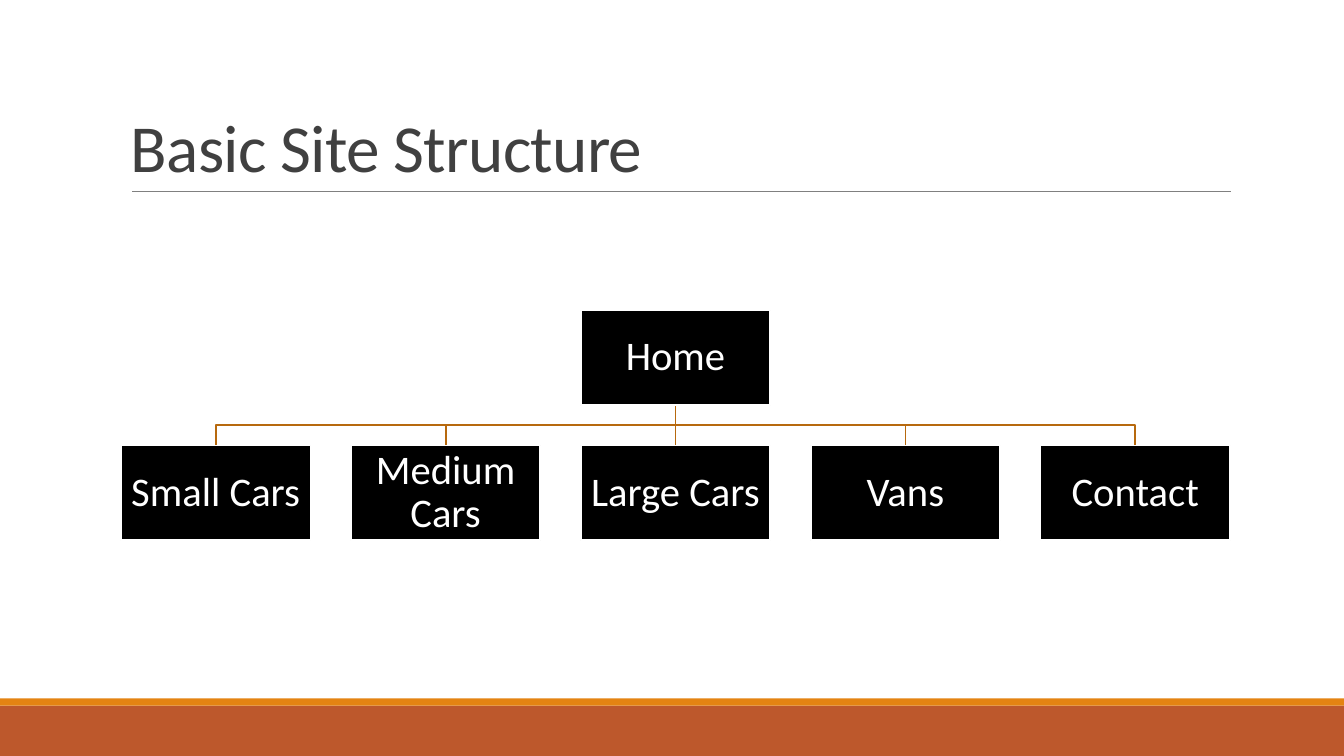
from pptx import Presentation
from pptx.dml.color import RGBColor
from pptx.enum.shapes import MSO_CONNECTOR, MSO_SHAPE
from pptx.enum.text import MSO_ANCHOR, PP_ALIGN
from pptx.oxml.ns import qn
from pptx.util import Inches, Pt
from lxml import etree

RECT = MSO_SHAPE.RECTANGLE
STRAIGHT = MSO_CONNECTOR.STRAIGHT
MIDDLE, BOTTOM = MSO_ANCHOR.MIDDLE, MSO_ANCHOR.BOTTOM
CENTER, LEFT = PP_ALIGN.CENTER, PP_ALIGN.LEFT

FONT = "Calibri"
PAGES = ["Small Cars", "Medium Cars", "Large Cars", "Vans", "Contact"]
BOX_W, BOX_H = 1.88, 0.94
FIRST_X, STEP = 1.2, 2.28
HOME_Y, PAGE_Y = 3.08, 4.42


def color(hex_string):
    """Return the colour for a hex string."""
    return RGBColor.from_string(hex_string)


def set_line(line, hex_string, width):
    """Set the colour and the width in points of a line."""
    line.color.rgb = color(hex_string)
    line.width = Pt(width)


def write(tf, text, size, hex_string, align, anchor, spacing):
    """Write one formatted paragraph and return its run."""
    tf.word_wrap = True
    tf.vertical_anchor = anchor
    tf.text = text
    p = tf.paragraphs[0]
    p.alignment = align
    p.line_spacing = spacing
    r = p.runs[0]
    r.font.name = FONT
    r.font.size = Pt(size)
    r.font.color.rgb = color(hex_string)
    return r


def add_rect(s, x, y, w, h, fill):
    """Add a plain filled rectangle without an outline."""
    sp = s.shapes.add_shape(RECT, Inches(x), Inches(y), Inches(w), Inches(h))
    sp.shadow.inherit = False
    sp.fill.solid()
    sp.fill.fore_color.rgb = color(fill)
    sp.line.fill.background()
    return sp


def add_line(s, x1, y1, x2, y2, hex_string, width):
    """Add a straight line."""
    cxn = s.shapes.add_connector(
        STRAIGHT, Inches(x1), Inches(y1), Inches(x2), Inches(y2))
    set_line(cxn.line, hex_string, width)
    etree.SubElement(cxn._element.spPr, qn("a:effectLst"))


def add_title(s, text):
    """Add the slide title."""
    box = s.shapes.add_textbox(
        Inches(1.2), Inches(0.31), Inches(11), Inches(1.59))
    r = write(box.text_frame, text, 48, "404040", LEFT, BOTTOM, 0.85)
    r._r.get_or_add_rPr().set("spc", "-50")


def add_branch(s, x1, y1, x2, y2):
    """Add an elbow branch from a parent to a child, straight if aligned."""
    if x1 == x2:
        add_line(s, x1, y1, x2, y2, "B7690E", 1.25)
        return
    mid = (y1 + y2) / 2
    points = [(x1, mid), (x2, mid), (x2, y2)]
    fb = s.shapes.build_freeform(Inches(x1), Inches(y1))
    fb.add_line_segments([(Inches(x), Inches(y)) for x, y in points], close=False)
    sp = fb.convert_to_shape()
    sp.shadow.inherit = False
    sp.fill.background()
    set_line(sp.line, "B7690E", 1.25)


def add_page(s, x, y, text):
    """Add a page box of the site tree."""
    sp = add_rect(s, x, y, BOX_W, BOX_H, "000000")
    set_line(sp.line, "FFFFFF", 1.25)
    tf = sp.text_frame
    tf.margin_left = tf.margin_right = Inches(0.02)
    tf.margin_top = tf.margin_bottom = Inches(0.02)
    write(tf, text, 29, "FFFFFF", CENTER, MIDDLE, 0.9)


def add_site_tree(s):
    """Add the home page, the pages below it and their branches."""
    lefts = [FIRST_X + i * STEP for i in range(len(PAGES))]
    home_x = lefts[len(PAGES) // 2]
    half = BOX_W / 2
    for x in reversed(lefts):
        add_branch(s, home_x + half, HOME_Y + BOX_H, x + half, PAGE_Y)
    add_page(s, home_x, HOME_Y, "Home")
    for x, page in zip(lefts, PAGES):
        add_page(s, x, PAGE_Y, page)


def main():
    """Build and save the slide."""
    prs = Presentation()
    prs.slide_width, prs.slide_height = Inches(13.33), Inches(7.5)
    s = prs.slides.add_slide(prs.slide_layouts[6])
    add_rect(s, 0, 7, 13.33, 0.5, "BD582C")
    add_rect(s, 0, 6.93, 13.33, 0.07, "E48312")
    add_line(s, 1.31, 1.9, 12.21, 1.9, "808080", 0.5)
    add_title(s, "Basic Site Structure")
    add_site_tree(s)
    prs.save("out.pptx")


main()
